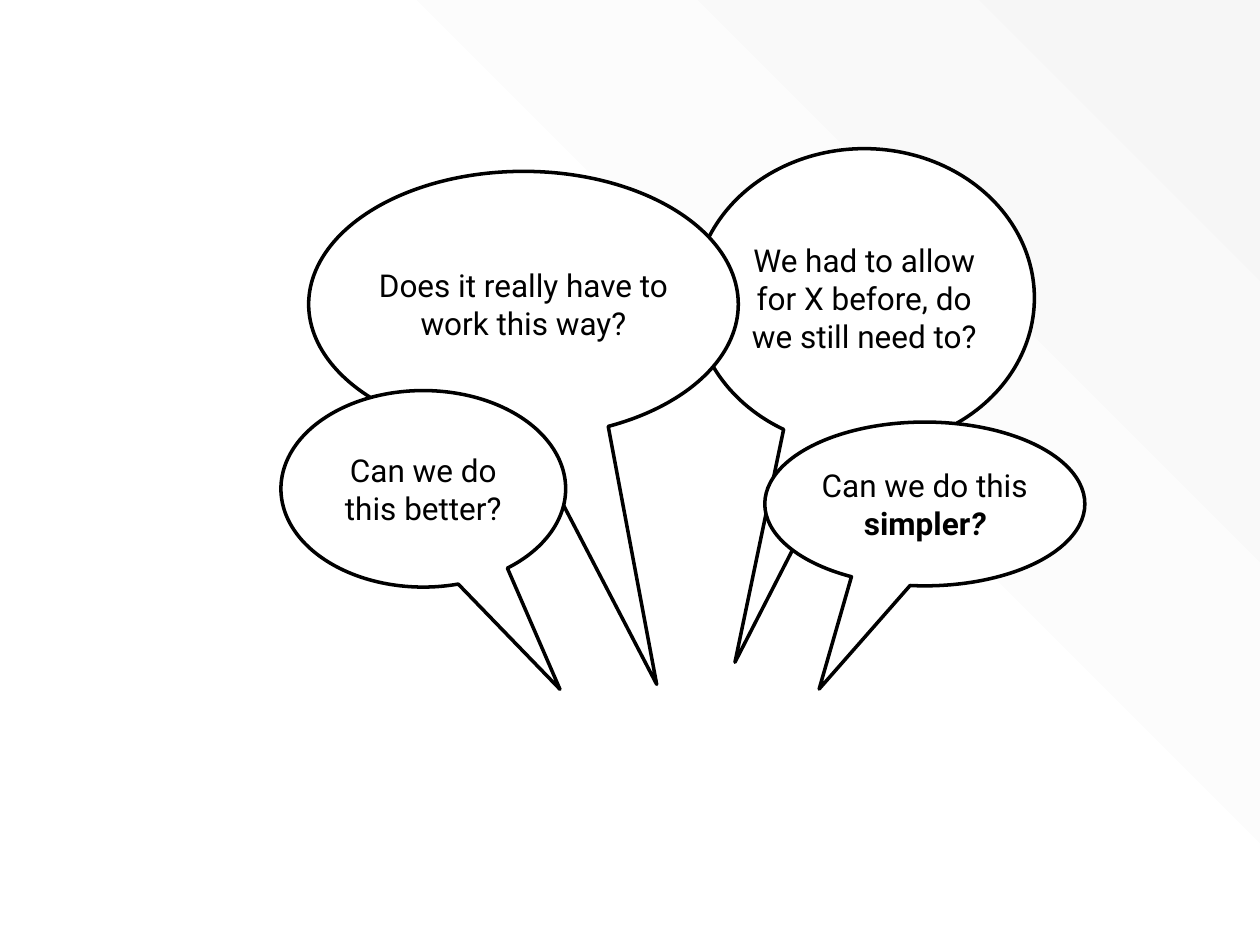
from lxml import etree
from pptx import Presentation
from pptx import util as u
from pptx.dml.color import RGBColor
from pptx.enum import shapes, text
from pptx.oxml.ns import qn

# Content, back to front: box (left, top, width, height), tail tip as a share
# of the bubble's size from its centre, and runs of (words, bold, italic)
QUESTIONS = [
    ((5.51, 1.18, 2.70, 2.37), (-0.38, 1.22),
     [("We had to allow for X before, do we still need to?", False, False)]),
    ((2.45, 1.36, 3.41, 2.11), (0.31, 1.43),
     [("Does it really have to work this way?", False, False)]),
    ((2.23, 3.10, 2.26, 1.56), (0.48, 1.02),
     [("Can we do this better?", False, False)]),
    ((6.07, 3.35, 2.54, 1.30), (-0.33, 1.13),
     [("Can we do this ", False, False), ("simpler", True, False), ("?", True, True)]),
]

THEME = {
    "font": "Roboto",
    "size": u.Pt(18),
    "line": u.Pt(2),
    "ink": RGBColor.from_string("000000"),
    "paper": RGBColor.from_string("FFFFFF"),
    "haze": RGBColor.from_string("F6F6F6"),
}


def add_backdrop(slide, width, height):
    """Full-slide radial gradient that spreads from the bottom left corner."""
    backdrop = slide.shapes.add_shape(shapes.MSO_SHAPE.RECTANGLE, 0, 0, width, height)
    backdrop.shadow.inherit = False
    backdrop.line.fill.background()
    backdrop.fill.gradient()
    stops = zip(backdrop.fill.gradient_stops, ((0.49, "paper"), (1, "haze")))
    for stop, (position, colour) in stops:
        stop.position = position
        stop.color.rgb = THEME[colour]
    linear = backdrop._element.spPr.find(".//" + qn("a:lin"))
    radial = etree.Element(qn("a:path"), {"path": "circle"})
    etree.SubElement(radial, qn("a:fillToRect"), {"t": "100000", "r": "100000"})
    linear.getparent().replace(linear, radial)


def add_bubble(slide, box, tip, words):
    bubble = slide.shapes.add_shape(
        shapes.MSO_SHAPE.OVAL_CALLOUT, *(u.Inches(side) for side in box))
    bubble.adjustments[0], bubble.adjustments[1] = tip
    bubble.shadow.inherit = False
    bubble.fill.solid()
    bubble.fill.fore_color.rgb = THEME["paper"]
    bubble.line.color.rgb = THEME["ink"]
    bubble.line.width = THEME["line"]

    frame = bubble.text_frame
    frame.word_wrap = True
    frame.vertical_anchor = text.MSO_ANCHOR.MIDDLE
    frame.margin_left = frame.margin_top = frame.margin_right = frame.margin_bottom = 0
    question = frame.paragraphs[0]
    question.alignment = text.PP_ALIGN.CENTER
    for wording, bold, italic in words:
        run = question.add_run()
        run.text = wording
        run.font.name = THEME["font"]
        run.font.size = THEME["size"]
        run.font.color.rgb = THEME["ink"]
        run.font.bold = bold
        run.font.italic = italic


def main():
    deck = Presentation()
    deck.slide_width, deck.slide_height = u.Inches(10), u.Inches(7.5)
    slide = deck.slides.add_slide(deck.slide_layouts[6])
    add_backdrop(slide, deck.slide_width, deck.slide_height)
    for box, tip, words in QUESTIONS:
        add_bubble(slide, box, tip, words)
    deck.save("out.pptx")


if __name__ == "__main__":
    main()
